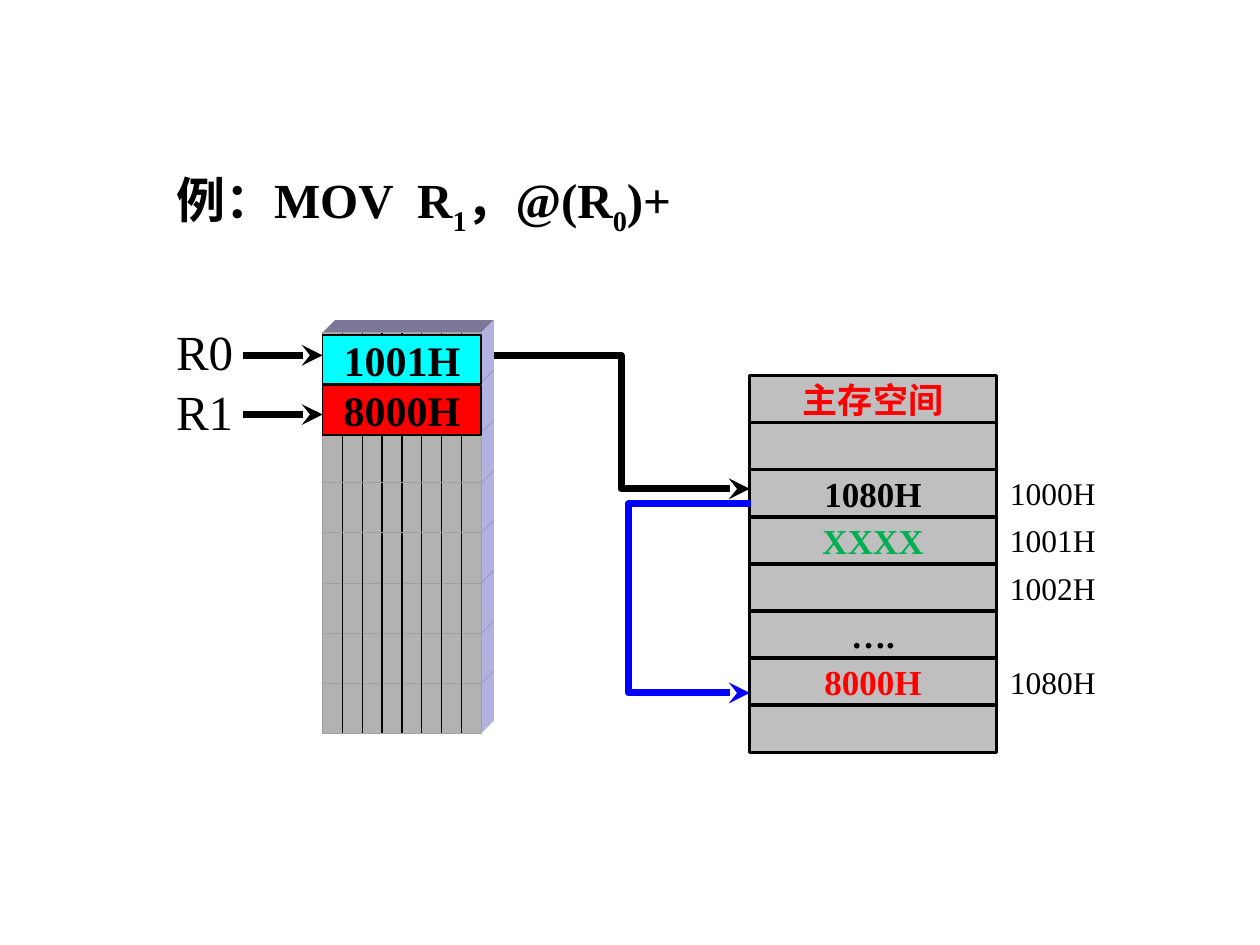
from dataclasses import dataclass

from lxml import etree
from pptx import Presentation
from pptx.dml.color import RGBColor
from pptx.enum.shapes import MSO_CONNECTOR, MSO_SHAPE
from pptx.enum.text import MSO_ANCHOR, MSO_AUTO_SIZE, PP_ALIGN
from pptx.oxml.ns import qn
from pptx.util import Inches, Pt

RECTANGLE = MSO_SHAPE.RECTANGLE
STRAIGHT, ELBOW = MSO_CONNECTOR.STRAIGHT, MSO_CONNECTOR.ELBOW
CENTER, MIDDLE = PP_ALIGN.CENTER, MSO_ANCHOR.MIDDLE
FIT_SHAPE = MSO_AUTO_SIZE.SHAPE_TO_FIT_TEXT


@dataclass(frozen=True)
class Theme:
    font: str = "Times New Roman"
    black: str = "000000"
    white: str = "FFFFFF"
    red: str = "FF0000"
    green: str = "00B050"
    blue: str = "0000FF"
    cyan: str = "00FFFF"
    memory: str = "BFBFBF"
    stack_front: str = "B2B2B2"
    stack_seam: str = "A0A0A0"
    stack_top: str = "7A7896"
    stack_side: str = "B2B2E0"
    side_seam: str = "9999CC"
    title_size: int = 28
    register_size: int = 24
    memory_size: int = 20
    address_size: int = 18


THEME = Theme()

STACK_LEFT, STACK_TOP, STACK_WIDTH, STACK_STEP = 2.56, 2.64, 1.26, 0.4
STACK_ROWS, STACK_BITS, STACK_DEPTH = 8, 8, 0.1
MEMORY_LEFT, MEMORY_TOP, MEMORY_WIDTH, MEMORY_STEP = 5.95, 2.98, 1.96, 0.374
ADDRESS_LEFT, ADDRESS_WIDTH = 7.84, 1.03

TITLE = [("例：MOV  R", False), ("1", True), ("，@(R", False), ("0", True), (")+", False)]
MEMORY_ROWS = [  # content, colour, address
    ("主存空间", THEME.red, ""),
    ("", THEME.black, ""),
    ("1080H", THEME.black, "1000H"),
    ("XXXX", THEME.green, "1001H"),
    ("", THEME.black, "1002H"),
    ("….", THEME.black, ""),
    ("8000H", THEME.red, "1080H"),
    ("", THEME.black, ""),
]


def style_font(font, size, color=THEME.black, bold=False):
    font.name = THEME.font
    font.size = Pt(size)
    font.bold = bold
    font.color.rgb = RGBColor.from_string(color)


def style_shape(shape, fill, line=None, width=1):
    shape.shadow.inherit = False
    shape.fill.solid()
    shape.fill.fore_color.rgb = RGBColor.from_string(fill)
    if line is None:
        shape.line.fill.background()
    else:
        shape.line.color.rgb = RGBColor.from_string(line)
        shape.line.width = Pt(width)


def add_box(slide, left, top, width, height, fill, line=None, line_width=1):
    box = slide.shapes.add_shape(
        RECTANGLE, Inches(left), Inches(top), Inches(width), Inches(height))
    style_shape(box, fill, line, line_width)
    return box


def write_centered(box, text, size, color=THEME.black, bold=False):
    text_frame = box.text_frame
    text_frame.vertical_anchor = MIDDLE
    text_frame.text = text
    paragraph = text_frame.paragraphs[0]
    paragraph.alignment = CENTER
    style_font(paragraph.runs[0].font, size, color, bold)


def add_text(slide, left, top, width, height, pieces, bold=False, wrap=False):
    """Add one line made of (text, is_subscript) pieces."""
    box = slide.shapes.add_textbox(
        Inches(left), Inches(top), Inches(width), Inches(height))
    text_frame = box.text_frame
    text_frame.word_wrap = wrap
    text_frame.auto_size = FIT_SHAPE
    for text, is_subscript in pieces:
        run = text_frame.paragraphs[0].add_run()
        run.text = text
        style_font(run.font, THEME.title_size, bold=bold)
        if is_subscript:
            run.font._element.set("baseline", "-25000")


def add_line(slide, start, end, color=THEME.black, width=0.75, arrow=False, bend_x=None):
    """Draw a straight line, or an elbow whose upright part stands at bend_x."""
    kind = STRAIGHT if bend_x is None else ELBOW
    connector = slide.shapes.add_connector(kind, *map(Inches, start + end))
    connector.line.color.rgb = RGBColor.from_string(color)
    connector.line.width = Pt(width)
    properties = connector._element.spPr
    etree.SubElement(properties, qn("a:effectLst"))
    if arrow:
        etree.SubElement(connector.line._get_or_add_ln(), qn("a:tailEnd"), type="stealth")
    if bend_x is not None:
        ratio = (bend_x - start[0]) / (end[0] - start[0])
        guides = properties.find(qn("a:prstGeom")).get_or_add_avLst()
        etree.SubElement(guides, qn("a:gd"), name="adj1", fmla=f"val {round(ratio * 100000)}")


def add_face(slide, points, fill):
    corners = [(Inches(x), Inches(y)) for x, y in points]
    builder = slide.shapes.build_freeform(*corners[0])
    builder.add_line_segments(corners[1:], close=True)
    style_shape(builder.convert_to_shape(), fill)


def add_register_stack(slide):
    right = STACK_LEFT + STACK_WIDTH
    bottom = STACK_TOP + STACK_ROWS * STACK_STEP - 0.02
    back, raised = right + STACK_DEPTH, STACK_TOP - STACK_DEPTH
    add_face(slide, [(STACK_LEFT, STACK_TOP), (STACK_LEFT + STACK_DEPTH, raised),
                     (back, raised), (right, STACK_TOP)], THEME.stack_top)
    add_face(slide, [(right, STACK_TOP), (back, raised),
                     (back, bottom - STACK_DEPTH), (right, bottom)], THEME.stack_side)
    step = (bottom - STACK_TOP) / STACK_ROWS
    for row in range(STACK_ROWS):
        top = STACK_TOP + row * step
        add_box(slide, STACK_LEFT, top, STACK_WIDTH, step,
                THEME.stack_front, THEME.stack_seam, 0.5)
        for bit in range(1, STACK_BITS):
            x = STACK_LEFT + bit * STACK_WIDTH / STACK_BITS
            add_line(slide, (x, top), (x, top + step))
        if row:
            add_line(slide, (right, top), (back, top - STACK_DEPTH), THEME.side_seam, 0.5)
    for top, text, fill in ((3.06, "8000H", THEME.red), (2.66, "1001H", THEME.cyan)):
        cell = add_box(slide, STACK_LEFT, top, STACK_WIDTH, 0.39, fill, THEME.black)
        cell.text_frame.word_wrap = False
        write_centered(cell, text, THEME.register_size, bold=True)


def add_memory(slide):
    for row, (content, color, address) in enumerate(MEMORY_ROWS):
        top = MEMORY_TOP + row * MEMORY_STEP
        if address:
            label = add_box(slide, ADDRESS_LEFT, top, ADDRESS_WIDTH, MEMORY_STEP, THEME.white)
            write_centered(label, address, THEME.address_size)
        cell = add_box(slide, MEMORY_LEFT, top, MEMORY_WIDTH, MEMORY_STEP,
                       THEME.memory, THEME.black, 2)
        if content:
            write_centered(cell, content, THEME.memory_size, color, bold=True)


def main():
    presentation = Presentation()
    presentation.slide_width, presentation.slide_height = Inches(10), Inches(7.5)
    slide = presentation.slides.add_slide(presentation.slide_layouts[6])

    add_text(slide, 1.3, 1.3, 6.22, 0.57, TITLE, bold=True, wrap=True)
    for name, top, arrow_y in (("R0", 2.5, 2.82), ("R1", 2.98, 3.29)):
        add_text(slide, 1.3, top, 0.66, 0.57, [(name, False)])
        add_line(slide, (1.93, arrow_y), (STACK_LEFT, arrow_y), width=4, arrow=True)
    add_line(slide, (3.9, 2.82), (MEMORY_LEFT, 3.88), width=4, arrow=True, bend_x=4.93)
    add_register_stack(slide)
    add_memory(slide)
    add_line(slide, (5.96, 4), (MEMORY_LEFT, 5.5), THEME.blue, 4, arrow=True, bend_x=4.97)

    presentation.save("out.pptx")


if __name__ == "__main__":
    main()
